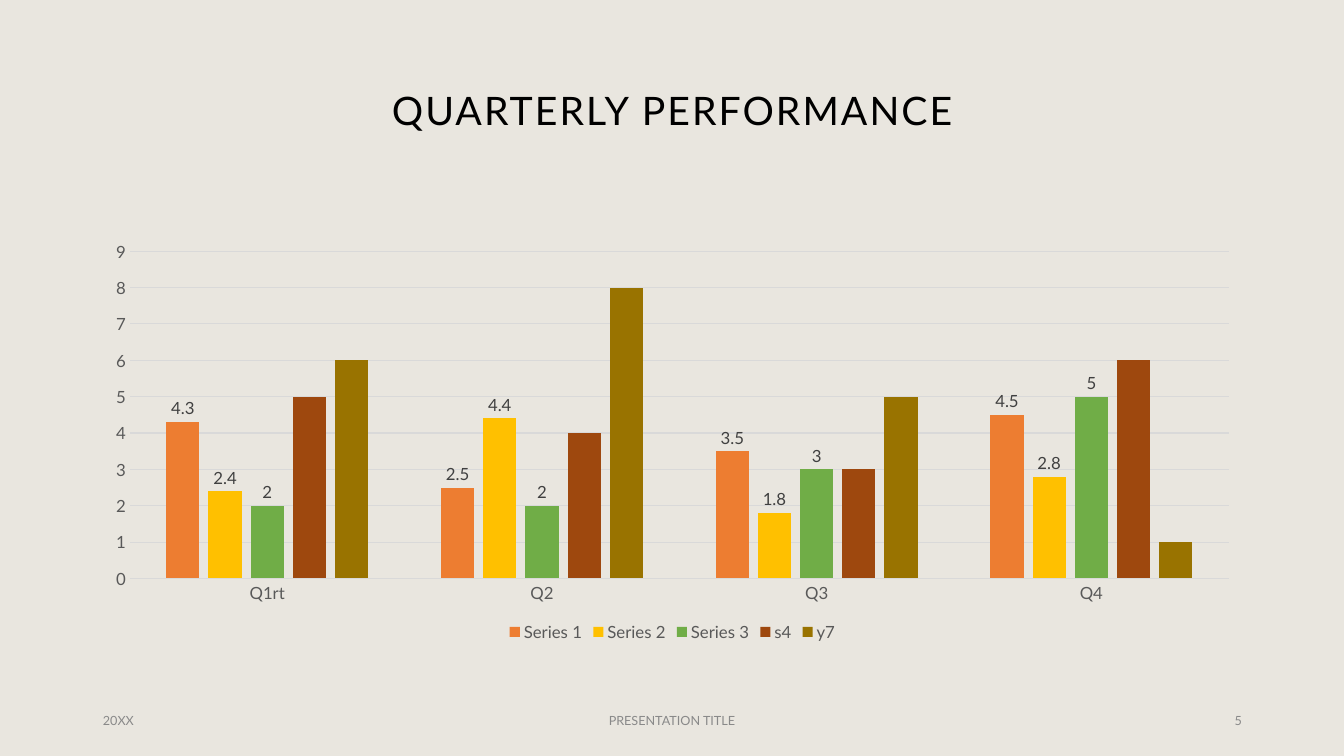
import pptx
import pptx.chart.data
import pptx.dml.color
import pptx.enum.chart
import pptx.enum.text
import pptx.util

PX = 914400 / 100.8
ALIGN = pptx.enum.text.PP_ALIGN
MIDDLE = pptx.enum.text.MSO_ANCHOR.MIDDLE
NO_TICKS = pptx.enum.chart.XL_TICK_MARK.NONE
LEFT, WIDTH = 93, 1159


def px(*lengths):
    return [round(length * PX) for length in lengths]


def paint(target, color, **values):
    """Set a hex colour and any further attributes on a font, fill or line."""
    for name, value in values.items():
        setattr(target, name, value)
    color_format = target.fore_color if hasattr(target, "fore_color") else target.color
    color_format.rgb = pptx.dml.color.RGBColor.from_string(color)


deck = pptx.Presentation()
deck.slide_width, deck.slide_height = px(1344, 756)
slide = deck.slides.add_slide(deck.slide_layouts[5])
slide.background.fill.solid()
paint(slide.background.fill, "E9E6DF")

# Title
title = slide.shapes.title
title.left, title.top, title.width, title.height = px(LEFT, 40, WIDTH, 146)
title.text_frame.vertical_anchor = MIDDLE
heading = title.text_frame.paragraphs[0]
heading.alignment = ALIGN.CENTER
heading.line_spacing = 0.9
heading_run = heading.add_run()
heading_run.text = "QUARTERLY PERFORMANCE"
paint(heading_run.font, "000000", name="Lato", size=pptx.util.Pt(28))
heading_run.font._element.set("spc", "150")

# Footer
footers = [
    ("20XX", LEFT, 302, ALIGN.LEFT),
    ("PRESENTATION TITLE", 445, 454, ALIGN.CENTER),
    ("5", LEFT + WIDTH - 302, 302, ALIGN.RIGHT),
]
for text, left, width, alignment in footers:
    frame = slide.shapes.add_textbox(*px(left, 701, width, 40)).text_frame
    frame.word_wrap = True
    frame.vertical_anchor = MIDDLE
    footer = frame.paragraphs[0]
    footer.text = text
    footer.alignment = alignment
    paint(footer.runs[0].font, "898989", name="Lato", size=pptx.util.Pt(9))

# Quarterly chart
quarterly = [
    ("Series 1", (4.3, 2.5, 3.5, 4.5), "ED7D31", True),
    ("Series 2", (2.4, 4.4, 1.8, 2.8), "FFC000", True),
    ("Series 3", (2, 2, 3, 5), "70AD47", True),
    ("s4", (5, 4, 3, 6), "9E480E", False),
    ("y7", (6, 8, 5, 1), "997300", False),
]
chart_data = pptx.chart.data.CategoryChartData()
chart_data.categories = ["Q1rt", "Q2", "Q3", "Q4"]
for name, values, color, labelled in quarterly:
    chart_data.add_series(name, values)
chart = slide.shapes.add_chart(
    pptx.enum.chart.XL_CHART_TYPE.COLUMN_CLUSTERED,
    *px(LEFT, 233, WIDTH, 413), chart_data).chart
chart.has_title = False
paint(chart.font, "000000", name="Arial", size=pptx.util.Pt(10))

plot = chart.plots[0]
plot_format = {"gap_width": 219, "overlap": -27, "vary_by_categories": False}
for name, value in plot_format.items():
    setattr(plot, name, value)
for series, (name, values, color, labelled) in zip(plot.series, quarterly):
    series.format.fill.solid()
    paint(series.format.fill, color)
    series.invert_if_negative = False
    if labelled:
        labels = series.data_labels
        labels.show_value = True
        labels.position = pptx.enum.chart.XL_LABEL_POSITION.OUTSIDE_END
        paint(labels.font, "404040", name="Lato", size=pptx.util.Pt(12))

chart.has_legend = True
chart.legend.position = pptx.enum.chart.XL_LEGEND_POSITION.BOTTOM
chart.legend.include_in_layout = False
quarters, scale = chart.category_axis, chart.value_axis
for part in (quarters, scale, chart.legend):
    font = part.tick_labels.font if part is not chart.legend and hasattr(part, "tick_labels") else part.font
    paint(font, "595959", name="Lato", size=pptx.util.Pt(12))
for axis in (quarters, scale):
    axis.major_tick_mark = axis.minor_tick_mark = NO_TICKS
scale_format = {"minimum_scale": 0, "maximum_scale": 9, "major_unit": 1,
                "has_major_gridlines": True}
for name, value in scale_format.items():
    setattr(scale, name, value)
scale.format.line.fill.background()
for line in (quarters.format.line, scale.major_gridlines.format.line):
    paint(line, "D9D9D9", width=pptx.util.Pt(0.75))

deck.save("out.pptx")
